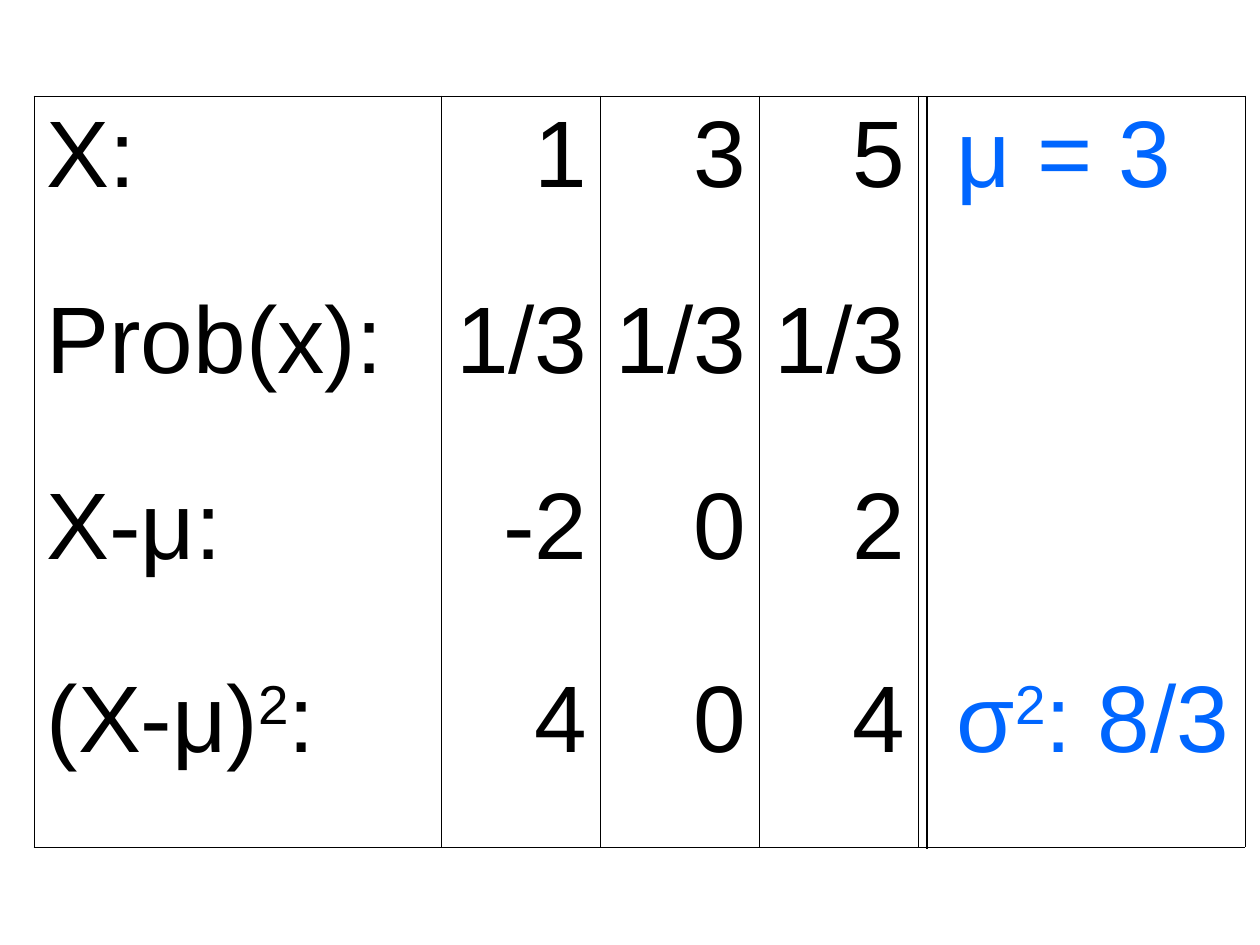
from lxml import etree
from pptx import Presentation
from pptx.dml.color import RGBColor
from pptx.enum.shapes import MSO_CONNECTOR
from pptx.enum.text import PP_ALIGN
from pptx.oxml.ns import qn
from pptx.util import Pt

LEFT, RIGHT = PP_ALIGN.LEFT, PP_ALIGN.RIGHT
STRAIGHT = MSO_CONNECTOR.STRAIGHT
PX = 914400 / 126

THEME = {
    "font": "Arial",
    "size": Pt(54),
    "ink": RGBColor(0x00, 0x00, 0x00),
    "result": RGBColor(0x00, 0x66, 0xFF),
    "border": Pt(0.45),
    "divider": Pt(0.75),
}

# Table content: ^ switches superscript on and off
ROWS = [
    ["X:", "1", "3", "5", " μ = 3"],
    ["Prob(x):", "1/3", "1/3", "1/3", ""],
    ["X-μ:", "-2", "0", "2", ""],
    ["(X-μ)^2^:", "4", "0", "4", " σ^2^: 8/3"],
]
COLUMN_WIDTHS = [407, 159, 159, 159, 327]
ROW_HEIGHTS = [186, 186, 193, 186]
TABLE_LEFT, TABLE_TOP = 34, 96
RESULT_COLUMN = len(COLUMN_WIDTHS) - 1


def px(length):
    return round(length * PX)


def set_border(cell, side, visible):
    line = etree.SubElement(cell._tc.get_or_add_tcPr(), qn("a:ln" + side))
    if not visible:
        line.set("w", "0")
        etree.SubElement(line, qn("a:noFill"))
        return
    line.set("w", str(THEME["border"]))
    fill = etree.SubElement(line, qn("a:solidFill"))
    etree.SubElement(fill, qn("a:srgbClr"), val=str(THEME["ink"]))


deck = Presentation()
deck.slide_width, deck.slide_height = px(1260), px(945)
page = deck.slides.add_slide(deck.slide_layouts[6])

# Table grid
frame = page.shapes.add_table(
    len(ROWS), len(COLUMN_WIDTHS), px(TABLE_LEFT), px(TABLE_TOP),
    px(sum(COLUMN_WIDTHS)), px(sum(ROW_HEIGHTS)))
table = frame.table
table.first_row = table.horz_banding = False
for column, width in zip(table.columns, COLUMN_WIDTHS):
    column.width = px(width)
for row, height in zip(table.rows, ROW_HEIGHTS):
    row.height = px(height)

# Cells: vertical rules everywhere, horizontal ones only at the outer edges
for row_index, texts in enumerate(ROWS):
    for column_index, text in enumerate(texts):
        cell = table.cell(row_index, column_index)
        set_border(cell, "L", True)
        set_border(cell, "R", True)
        set_border(cell, "T", row_index == 0)
        set_border(cell, "B", row_index == len(ROWS) - 1)
        cell.fill.background()

        para = cell.text_frame.paragraphs[0]
        para.alignment = RIGHT if 0 < column_index < RESULT_COLUMN else LEFT
        if not text:
            continue
        for part_index, part in enumerate(text.split("^")):
            span = para.add_run()
            span.text = part
            span.font.name = THEME["font"]
            span.font.size = THEME["size"]
            span.font.color.rgb = THEME["result" if column_index == RESULT_COLUMN else "ink"]
            if part_index % 2:
                span._r.get_or_add_rPr().set("baseline", "30000")

# Second rule that sets the results apart
divider = page.shapes.add_connector(STRAIGHT, px(927), px(TABLE_TOP), px(927), px(849))
divider.line.color.rgb = THEME["ink"]
divider.line.width = THEME["divider"]
etree.SubElement(divider._element.spPr, qn("a:effectLst"))

deck.save("out.pptx")
